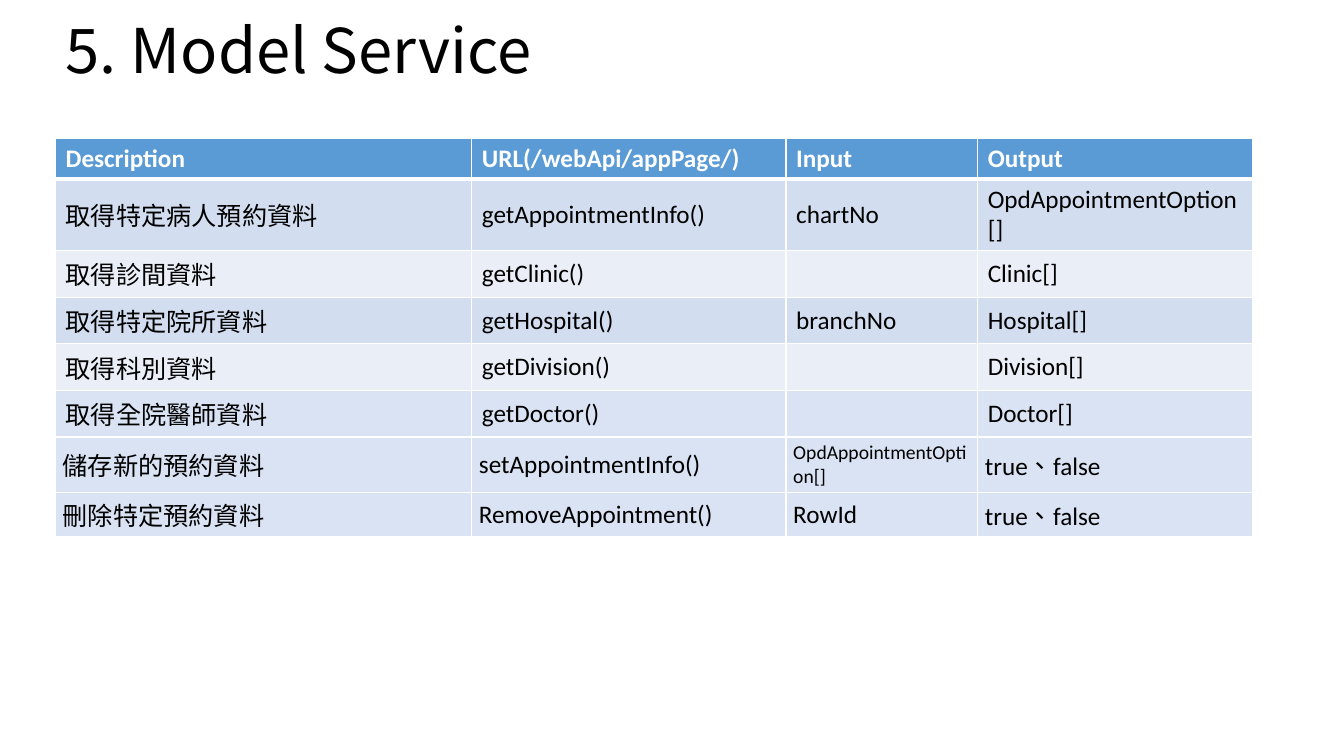
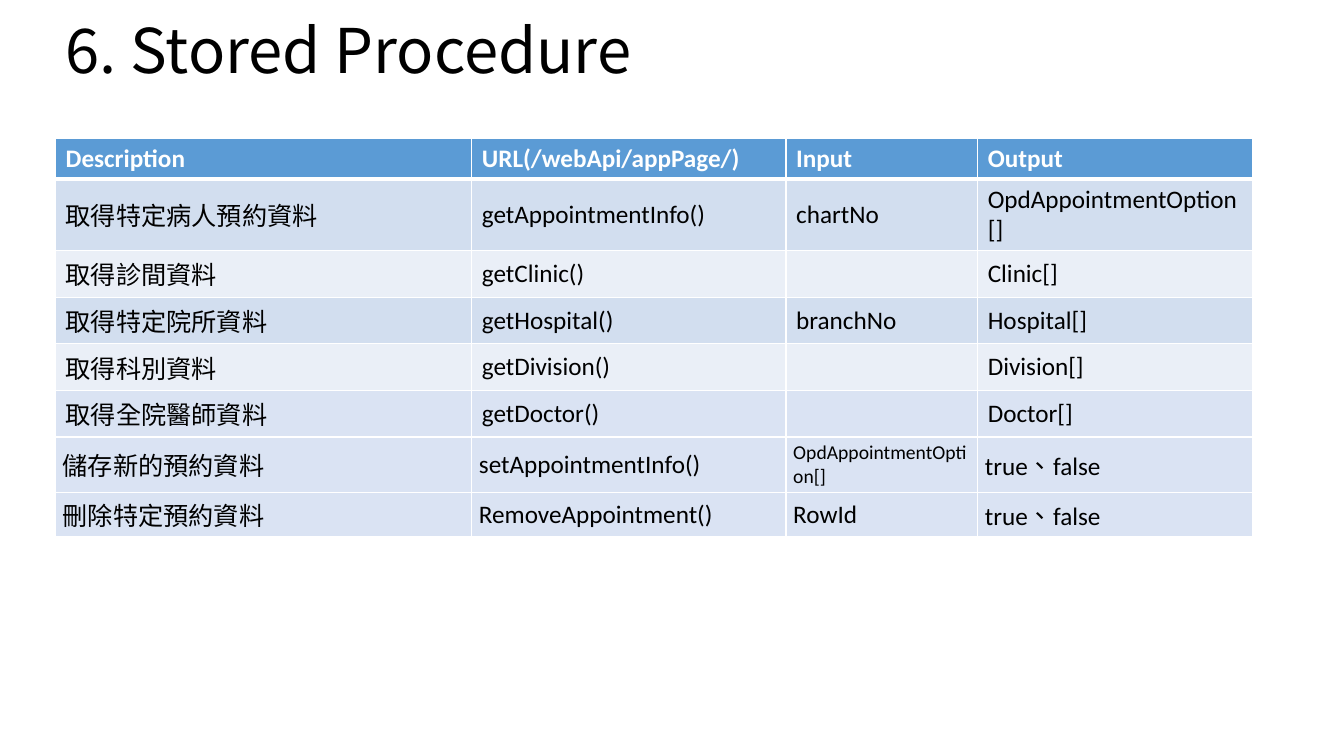
"""Build two slides, each with a title and the same table of service calls."""
from lxml import etree
from pptx import Presentation
from pptx.dml.color import RGBColor
from pptx.enum.text import MSO_ANCHOR, MSO_AUTO_SIZE, PP_ALIGN
from pptx.oxml.ns import qn
from pptx.util import Cm, Pt

MIDDLE = MSO_ANCHOR.MIDDLE
LEFT = PP_ALIGN.LEFT
NO_FIT = MSO_AUTO_SIZE.NONE

SANS, CJK, ARIAL = "Calibri", "Noto Sans CJK SC", "Arial"
BLACK, WHITE, BLUE = "000000", "FFFFFF", "5B9BD5"
DARK, LIGHT, PALE = "D2DEEF", "EAEFF7", "DAE3F3"
THIN, THICK = Pt(1.06), Pt(3.19)

TITLES = ["5. Model Service", "6. Stored Procedure"]
WIDTHS = [10.49, 7.92, 4.83, 6.93]
ROWS = [
    (1.02, BLUE, ["Description", "URL(/webApi/appPage/)", "Input", "Output"]),
    (1.75, DARK, ["取得特定病人預約資料", "getAppointmentInfo()", "chartNo",
                  "OpdAppointmentOption[]"]),
    (1.02, LIGHT, ["取得診間資料", "getClinic()", "", "Clinic[]"]),
    (1.02, DARK, ["取得特定院所資料", "getHospital()", "branchNo", "Hospital[]"]),
    (1.02, LIGHT, ["取得科別資料", "getDivision()", "", "Division[]"]),
    (1.02, PALE, ["取得全院醫師資料", "getDoctor()", "", "Doctor[]"]),
    (1.37, PALE, ["儲存新的預約資料", "setAppointmentInfo()",
                  "OpdAppointmentOption[]", "true、false"]),
    (0.94, PALE, ["刪除特定預約資料", "RemoveAppointment()", "RowId", "true、false"]),
]
EDITS = 6


def write(frame, text, size=18, font=SANS, color=BLACK, bold=False, space=1.0):
    para = frame.paragraphs[0]
    para.alignment = LEFT
    para.line_spacing = space
    run = para.add_run()
    run.text = text
    run.font.size = Pt(size)
    run.font.name = font
    run.font.bold = bold
    run.font.color.rgb = RGBColor.from_string(color)
    props = run.font._element
    props.set("lang", "zh-TW")
    props.set("altLang", "en-US")
    east = etree.SubElement(props, qn("a:ea"))
    east.set("typeface", CJK)


def edge(cell, side, width):
    line = etree.SubElement(cell._tc.get_or_add_tcPr(), qn("a:ln" + side))
    line.set("w", str(int(width)))
    fill = etree.SubElement(line, qn("a:solidFill"))
    etree.SubElement(fill, qn("a:srgbClr")).set("val", WHITE)


deck = Presentation()
deck.slide_width, deck.slide_height = Cm(33.87), Cm(19.05)

for name in TITLES:
    slide = deck.slides.add_slide(deck.slide_layouts[5])
    title = slide.shapes.title
    title.left, title.top = Cm(1.4), Cm(0.36)
    title.width, title.height = Cm(30.91), Cm(1.98)
    title.text_frame.auto_size = NO_FIT
    title.text_frame.vertical_anchor = MIDDLE
    write(title.text_frame, name, size=44, font=CJK, space=0.9)

    height = sum(row[0] for row in ROWS)
    table = slide.shapes.add_table(
        len(ROWS), len(WIDTHS), Cm(1.4), Cm(3.48), Cm(sum(WIDTHS)), Cm(height)
    ).table
    for col, width in zip(table.columns, WIDTHS):
        col.width = Cm(width)

    for r, (tall, shade, texts) in enumerate(ROWS):
        table.rows[r].height = Cm(tall)
        head, edit = r == 0, r >= EDITS
        for c, text in enumerate(texts):
            cell = table.cell(r, c)
            cell.vertical_anchor = MIDDLE
            if edit:
                cell.margin_left = cell.margin_right = Cm(0.18)
                cell.margin_top = cell.margin_bottom = Cm(0.1)
            edge(cell, "L", THIN)
            edge(cell, "R", THIN)
            edge(cell, "T", THICK if r == 1 else THIN)
            edge(cell, "B", THICK if head else THIN)
            cell.fill.solid()
            cell.fill.fore_color.rgb = RGBColor.from_string(shade)
            if text:
                write(cell.text_frame, text, bold=head,
                      size=14 if edit and len(text) > 20 else 18,
                      font=ARIAL if edit and c == 0 else SANS,
                      color=WHITE if head else BLACK)

deck.save("out.pptx")
